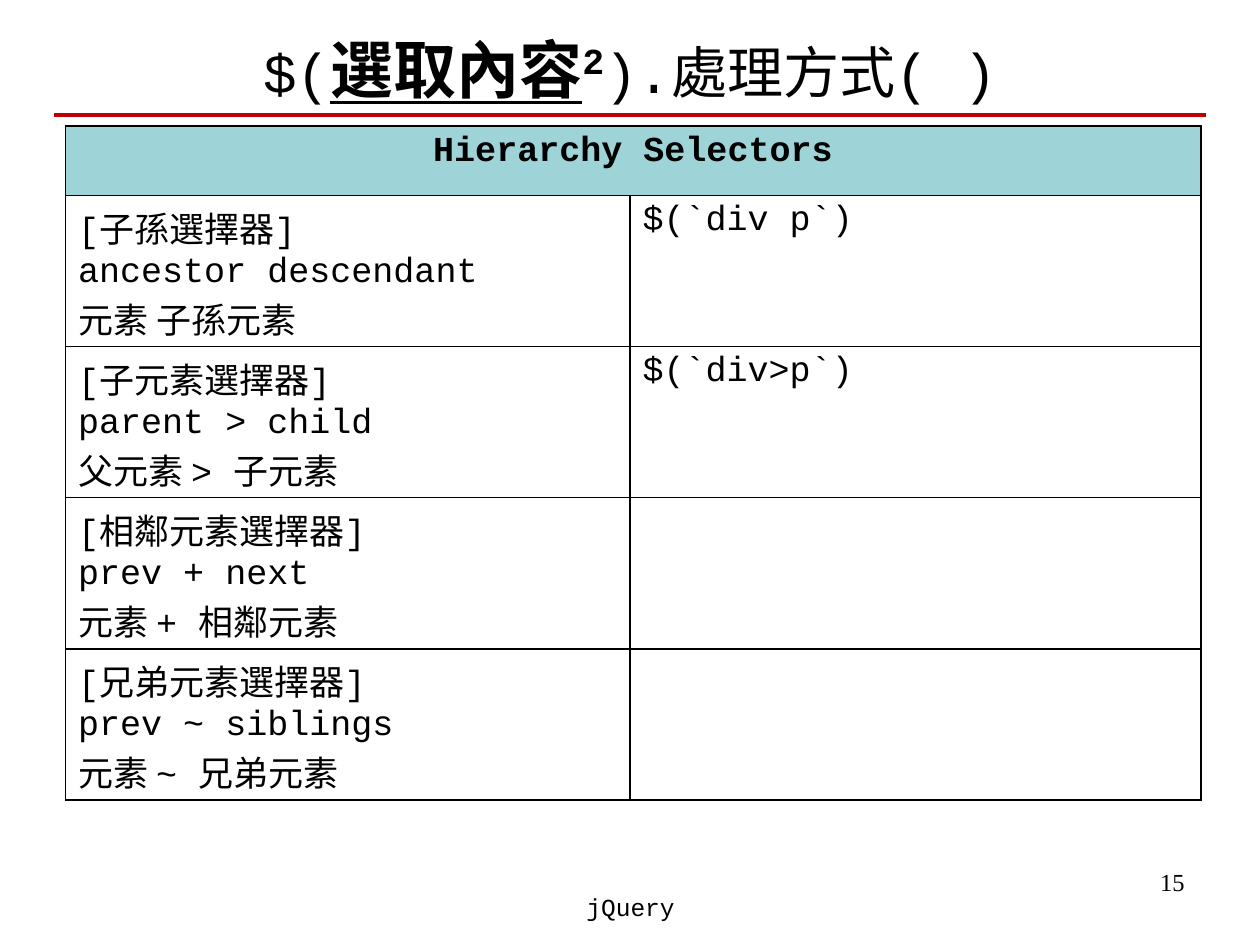
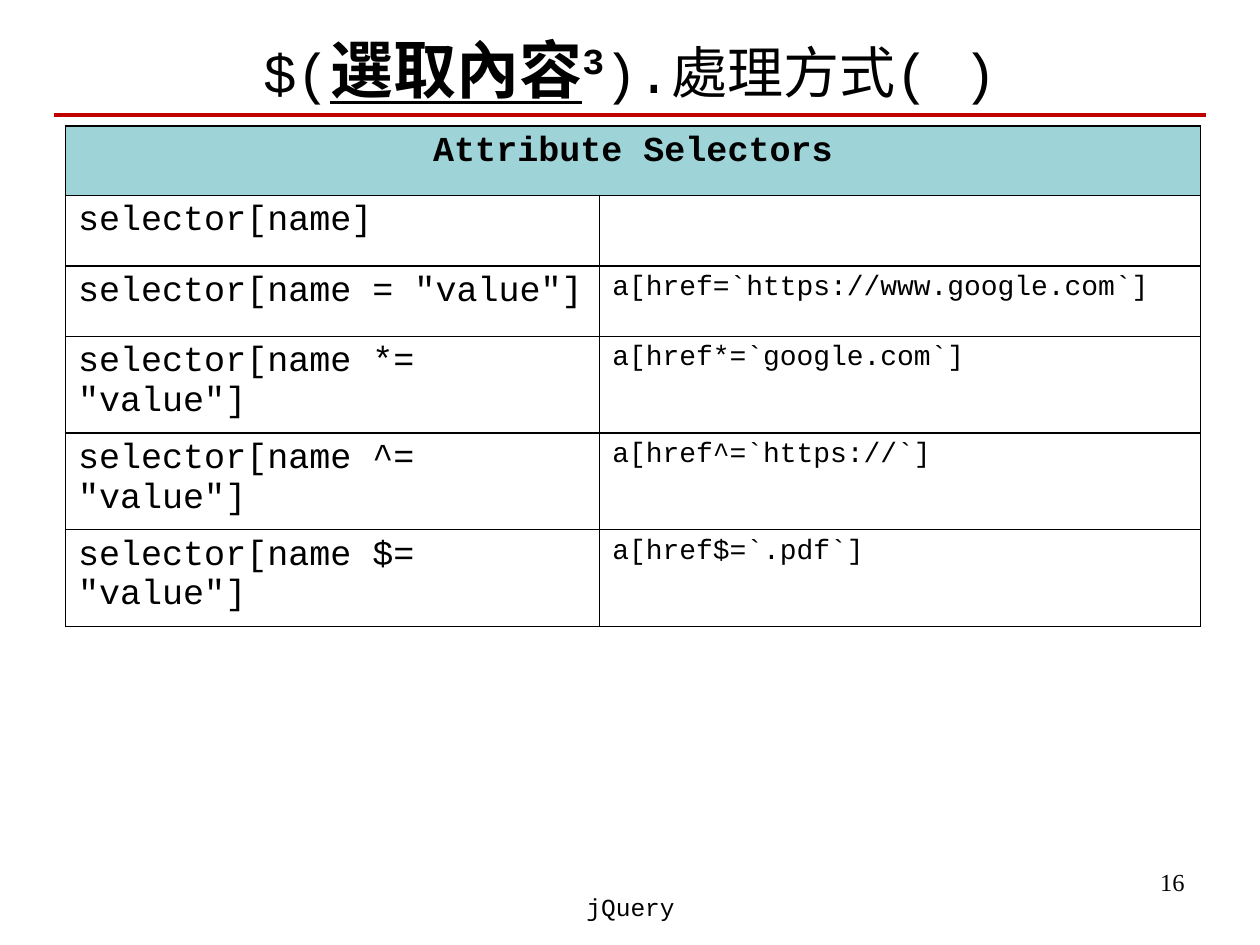
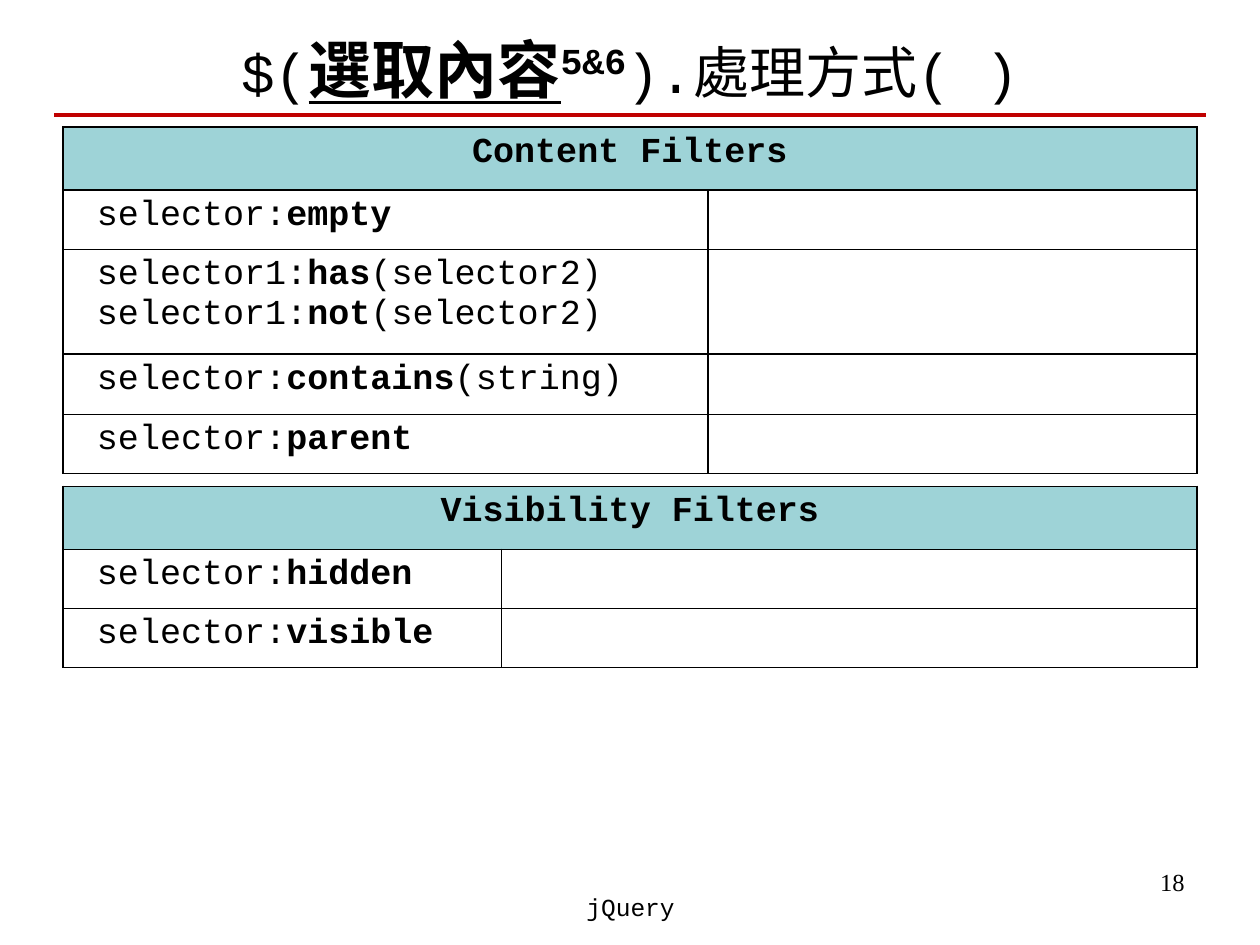
"""Build three slides of jQuery selector tables."""
from lxml.etree import SubElement
from pptx import Presentation
from pptx.dml.color import RGBColor
from pptx.enum.shapes import MSO_CONNECTOR
from pptx.enum.text import MSO_ANCHOR, MSO_AUTO_SIZE, PP_ALIGN
from pptx.oxml.ns import qn
from pptx.util import Inches, Pt

BLACK = RGBColor(0x00, 0x00, 0x00)
RED = RGBColor(0xC0, 0x00, 0x00)
TEAL = RGBColor(0x9E, 0xD3, 0xD7)
CODE = "Courier New"
SERIF = "Times New Roman"
FOOTER = "jQuery"
MARK = "|"

SLIDES = [
    {"page": "15", "part": "2", "tables": [
        {"head": "Hierarchy Selectors", "at": (0.52, 1), "cols": (4.48, 4.53),
         "top": 0.55, "rows": [
             (1.2, "[子孫選擇器]\nancestor descendant\n元素 子孫元素", "$(`div p`)"),
             (1.2, "[子元素選擇器]\nparent > child\n父元素 > 子元素", "$(`div>p`)"),
             (1.2, "[相鄰元素選擇器]\nprev + next\n元素 + 相鄰元素", ""),
             (1.2, "[兄弟元素選擇器]\nprev ~ siblings\n元素 ~ 兄弟元素", "")]}]},
    {"page": "16", "part": "3", "tables": [
        {"head": "Attribute Selectors", "at": (0.52, 1), "cols": (4.24, 4.77),
         "top": 0.55, "size": 16, "rows": [
             (0.56, "selector[name]", ""),
             (0.56, 'selector[name = "value"]', "a[href=`https://www.google.com`]"),
             (0.56, 'selector[name *= "value"]', "a[href*=`google.com`]"),
             (0.56, 'selector[name ^= "value"]', "a[href^=`https://`]"),
             (0.56, 'selector[name $= "value"]', "a[href$=`.pdf`]")]}]},
    {"page": "18", "part": "5&6", "tables": [
        {"head": "Content Filters", "at": (0.5, 1.01), "cols": (5.12, 3.88),
         "top": 0.5, "inset": 0.27, "rows": [
             (0.47, "selector:|empty|", ""),
             (0.83, "selector1:|has|(selector2)\nselector1:|not|(selector2)", ""),
             (0.48, "selector:|contains|(string)", ""),
             (0.47, "selector:|parent|", "")]},
        {"head": "Visibility Filters", "at": (0.5, 3.86), "cols": (3.48, 5.52),
         "top": 0.5, "inset": 0.27, "rows": [
             (0.47, "selector:|hidden|", ""),
             (0.47, "selector:|visible|", "")]}]},
]


def style(font, size, name=CODE, bold=False):
    """Set the size, face, weight and colour of a font."""
    font.size, font.name, font.bold = Pt(size), name, bold
    font.color.rgb = BLACK


def add_title(slide, part):
    """Fill the title, with the part number raised."""
    title = slide.shapes.title
    title.left, title.top = Inches(0.5), Inches(0.16)
    title.width, title.height = Inches(9), Inches(0.76)
    frame = title.text_frame
    frame.auto_size = MSO_AUTO_SIZE.NONE
    frame.vertical_anchor = MSO_ANCHOR.MIDDLE
    line = frame.paragraphs[0]
    line.alignment = PP_ALIGN.CENTER
    runs = [("$(", 32, False), ("選取內容", 36, True), (part, 36, True), (").處理方式( )", 32, False)]
    for text, size, bold in runs:
        run = line.add_run()
        run.text = text
        style(run.font, size, bold=bold)
    line.runs[1].font.underline = True
    line.runs[2].font._element.set("baseline", "30000")


def add_label(slide, text, box, name, align):
    """Add a small text box at the foot of the slide."""
    frame = slide.shapes.add_textbox(*map(Inches, box)).text_frame
    frame.word_wrap = True
    frame.text = text
    line = frame.paragraphs[0]
    line.alignment = align
    style(line.runs[0].font, 14, name)


def add_rule(slide):
    """Draw the red line below the title."""
    rule = slide.shapes.add_connector(
        MSO_CONNECTOR.STRAIGHT, Inches(0.43), Inches(0.91), Inches(9.57), Inches(0.91))
    rule.line.color.rgb = RED
    rule.line.width = Pt(2.25)
    SubElement(rule._element.spPr, qn("a:effectLst"))


def add_edges(cell):
    """Give a cell thin black borders."""
    props = cell._tc.get_or_add_tcPr()
    for side in ("lnL", "lnR", "lnT", "lnB"):
        edge = SubElement(props, qn(f"a:{side}"), w=str(Pt(1)))
        fill = SubElement(edge, qn("a:solidFill"))
        SubElement(fill, qn("a:srgbClr"), val=str(BLACK))


def write(cell, text, size=20):
    """Write lines in a cell, bold between marks."""
    frame = cell.text_frame
    for i, words in enumerate(text.split("\n")):
        line = frame.add_paragraph() if i else frame.paragraphs[0]
        for j, piece in enumerate(words.split(MARK)):
            if piece:
                run = line.add_run()
                run.text = piece
                style(run.font, size, bold=j % 2 == 1)


def add_grid(slide, data):
    """Add a table with a merged teal header."""
    rows, cols = data["rows"], data["cols"]
    highs = [data["top"]] + [row[0] for row in rows]
    box = (*data["at"], sum(cols), sum(highs))
    grid = slide.shapes.add_table(len(highs), len(cols), *map(Inches, box)).table
    grid.first_row = grid.horz_banding = False
    for col, width in zip(grid.columns, cols):
        col.width = Inches(width)
    for row, high in zip(grid.rows, highs):
        row.height = Inches(high)
    for cell in grid.iter_cells():
        add_edges(cell)
        cell.fill.background()
    head = grid.cell(0, 0)
    head.merge(grid.cell(0, 1))
    head.fill.solid()
    head.fill.fore_color.rgb = TEAL
    write(head, MARK + data["head"] + MARK)
    head.text_frame.paragraphs[0].alignment = PP_ALIGN.CENTER
    for i, (_, left, right) in enumerate(rows, 1):
        grid.cell(i, 0).margin_left = Inches(data.get("inset", 0.1))
        write(grid.cell(i, 0), left)
        write(grid.cell(i, 1), right, data.get("size", 20))


def main():
    """Build and save the deck."""
    deck = Presentation()
    deck.slide_width, deck.slide_height = Inches(10), Inches(7.5)
    for data in SLIDES:
        slide = deck.slides.add_slide(deck.slide_layouts[5])
        add_label(slide, data["page"], (7.17, 6.83, 2.33, 0.52), SERIF, PP_ALIGN.RIGHT)
        add_title(slide, data["part"])
        add_rule(slide)
        add_label(slide, FOOTER, (3.42, 7.03, 3.17, 0.5), CODE, PP_ALIGN.CENTER)
        for table in data["tables"]:
            add_grid(slide, table)
    deck.save("out.pptx")


if __name__ == "__main__":
    main()
